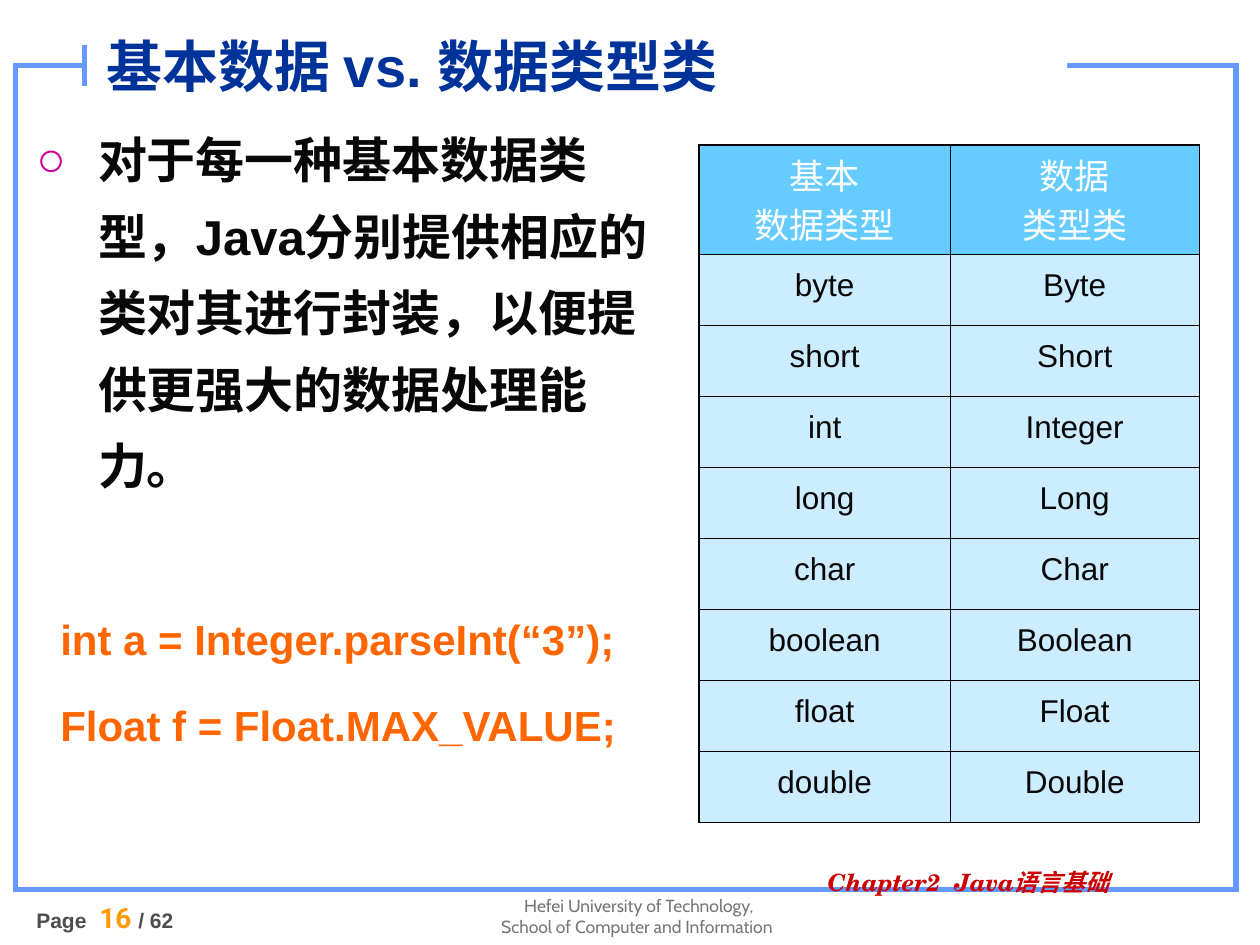
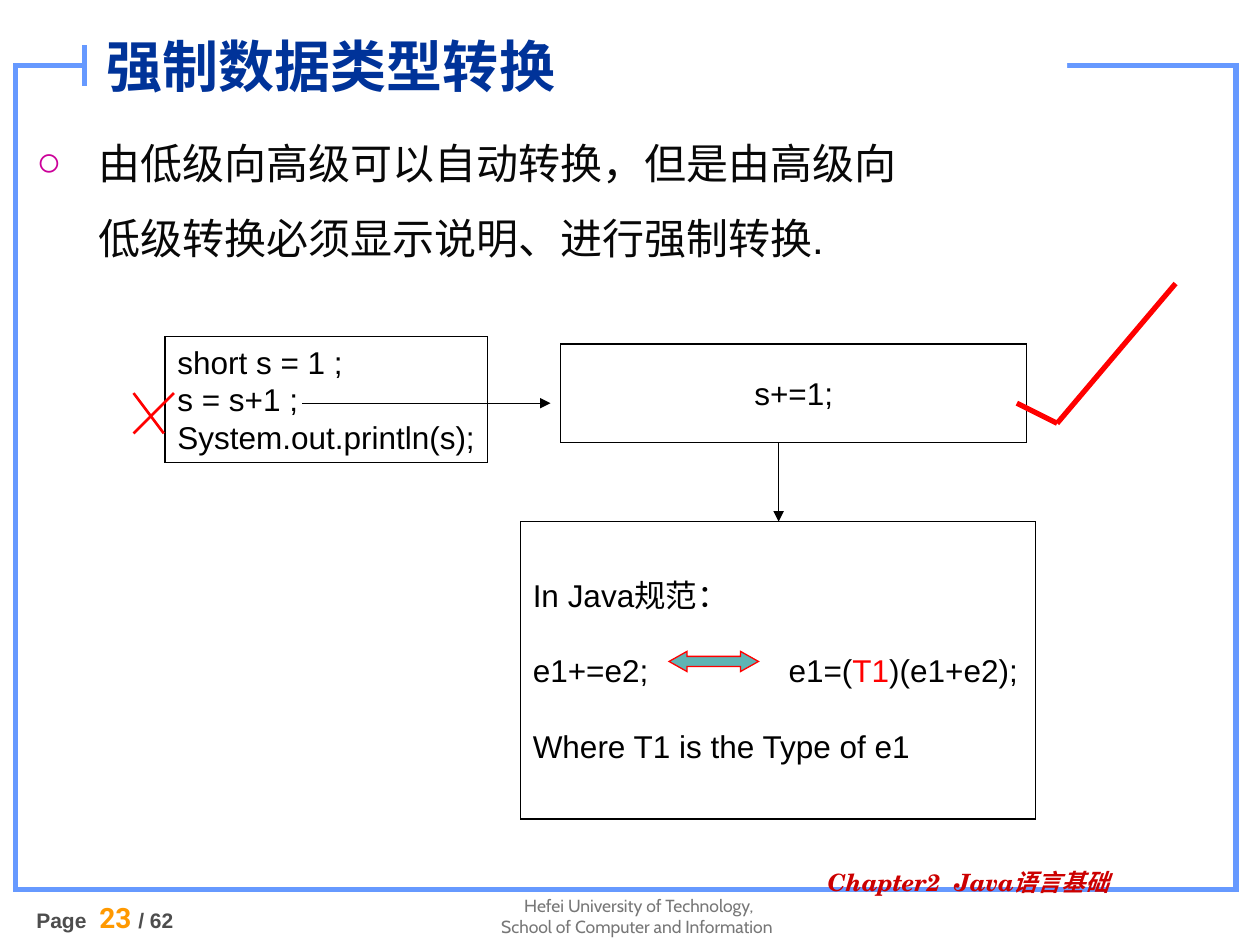
from dataclasses import dataclass

from lxml import etree
from pptx import Presentation
from pptx.dml.color import RGBColor
from pptx.enum.shapes import MSO_CONNECTOR as Connector, MSO_SHAPE as Shape
from pptx.enum.text import MSO_ANCHOR as Anchor, PP_ALIGN as Align
from pptx.oxml.ns import qn
from pptx.util import Inches, Pt


@dataclass(frozen=True)
class Theme:
    # Colours
    frame: str = "6699FF"
    white: str = "FFFFFF"
    black: str = "000000"
    ink: str = "080808"
    title: str = "003399"
    bullet: str = "CC0099"
    code: str = "FF6600"
    mark: str = "FF0000"
    arrow: str = "5EB4B4"
    chapter: str = "CC0000"
    school: str = "777777"
    page: str = "4D4D4D"
    page_number: str = "FF9900"
    header_fill: str = "66CCFF"
    cell_fill: str = "CCECFF"
    # Fonts
    font: str = "Arial"
    school_font: str = "Cabin"
    number_font: str = "Roboto"
    chapter_font: str = "TeX Gyre Schola"
    # Type sizes
    title_size: float = 32
    lead_size: float = 28
    text_size: float = 24
    header_size: float = 20
    box_size: float = 18
    number_size: float = 16
    chapter_size: float = 13.6
    page_size: float = 12
    school_size: float = 10


THEME = Theme()
PAGE_COUNT = 62
TYPE_PAIRS = [
    ("byte", "Byte"), ("short", "Short"), ("int", "Integer"), ("long", "Long"),
    ("char", "Char"), ("boolean", "Boolean"), ("float", "Float"), ("double", "Double"),
]


def color(value):
    return RGBColor.from_string(value)


# Text

def add_run(paragraph, text, size, ink=THEME.ink, font=THEME.font, bold=False, italic=False):
    run = paragraph.add_run()
    run.text = text
    run.font.size = Pt(size)
    run.font.name = font
    run.font.bold = bold
    run.font.italic = italic
    run.font.color.rgb = color(ink)


def next_paragraph(frame, align=Align.LEFT, spacing=1.0, before=0):
    first = frame.paragraphs[0]
    paragraph = frame.add_paragraph() if first.runs else first
    paragraph.alignment = align
    paragraph.line_spacing = spacing
    if before:
        paragraph.space_before = Pt(before)
    return paragraph


def set_indent(paragraph, left, hanging=0):
    properties = paragraph._p.get_or_add_pPr()
    properties.set("marL", str(Inches(left)))
    properties.set("indent", str(-Inches(hanging)))
    return properties


def set_bullet(paragraph):
    properties = set_indent(paragraph, 0.49, 0.49)
    properties.set("hangingPunct", "0")
    bullet_color = etree.SubElement(properties, qn("a:buClr"))
    etree.SubElement(bullet_color, qn("a:srgbClr"), val=THEME.bullet)
    etree.SubElement(properties, qn("a:buFont"), typeface=THEME.font)
    etree.SubElement(properties, qn("a:buChar"), char="○")


def set_tab(paragraph, position):
    tabs = etree.SubElement(paragraph._p.get_or_add_pPr(), qn("a:tabLst"))
    etree.SubElement(tabs, qn("a:tab"), pos=str(Inches(position)), algn="l")


def add_text_box(slide, left, top, width, height, anchor=Anchor.TOP):
    box = slide.shapes.add_textbox(Inches(left), Inches(top), Inches(width), Inches(height))
    frame = box.text_frame
    frame.word_wrap = True
    frame.vertical_anchor = anchor
    return frame


# Shapes and lines

def add_shape(slide, kind, left, top, width, height, fill=None, line=None, weight=0.75):
    shape = slide.shapes.add_shape(
        kind, Inches(left), Inches(top), Inches(width), Inches(height))
    shape.shadow.inherit = False
    if fill:
        shape.fill.solid()
        shape.fill.fore_color.rgb = color(fill)
    else:
        shape.fill.background()
    if line:
        shape.line.color.rgb = color(line)
        shape.line.width = Pt(weight)
        etree.SubElement(shape.line._get_or_add_ln(), qn("a:miter"), lim="800000")
    else:
        shape.line.fill.background()
    return shape


def add_box(slide, left, top, width, height, wrap=False):
    frame = add_shape(
        slide, Shape.RECTANGLE, left, top, width, height, line=THEME.black).text_frame
    frame.word_wrap = wrap
    frame.vertical_anchor = Anchor.MIDDLE
    return frame


def add_line(slide, start, end, ink=THEME.black, weight=0.75, arrow=False):
    line = slide.shapes.add_connector(
        Connector.STRAIGHT, *(Inches(value) for value in (*start, *end)))
    line.line.color.rgb = color(ink)
    line.line.width = Pt(weight)
    if arrow:
        etree.SubElement(line.line._get_or_add_ln(), qn("a:tailEnd"), type="triangle")
    etree.SubElement(line._element.spPr, qn("a:effectLst"))


# Table

def set_borders(cell, **weights):
    properties = cell._tc.get_or_add_tcPr()
    for side in "LRTB":
        border = etree.SubElement(
            properties, qn(f"a:ln{side}"), w=str(Pt(weights.get(side, 0.45))))
        fill = etree.SubElement(border, qn("a:solidFill"))
        etree.SubElement(fill, qn("a:srgbClr"), val=THEME.black)


def add_type_table(slide):
    left, top, bottom, header_height = 5.55, 1.15, 6.53, 0.87
    rows = [("基本\n数据类型", "数据\n类型类"), *TYPE_PAIRS]
    table = slide.shapes.add_table(
        len(rows), 2, Inches(left), Inches(top), Inches(3.97), Inches(bottom - top)).table
    table.first_row = table.horz_banding = False
    for column, width in zip(table.columns, (1.99, 1.98)):
        column.width = Inches(width)
    body_height = (bottom - top - header_height) / len(TYPE_PAIRS)
    for row_index, texts in enumerate(rows):
        header = row_index == 0
        table.rows[row_index].height = Inches(header_height if header else body_height)
        for column_index, text in enumerate(texts):
            cell = table.cell(row_index, column_index)
            outer = {"R" if column_index else "L": 1.08}
            if header:
                outer["T"] = 1.08
            set_borders(cell, **outer)
            cell.fill.solid()
            cell.fill.fore_color.rgb = color(THEME.header_fill if header else THEME.cell_fill)
            for line in text.split("\n"):
                paragraph = next_paragraph(
                    cell.text_frame, Align.CENTER, 0.95 if header else 1.2)
                if header:
                    add_run(paragraph, line, THEME.header_size, THEME.white)
                else:
                    add_run(paragraph, line, THEME.box_size)


# Shared slide parts

def add_frame(slide):
    add_shape(slide, Shape.RECTANGLE, 0.12, 0.52, 9.69, 6.54, line=THEME.frame, weight=3)
    add_shape(slide, Shape.RECTANGLE, 0.67, 0.28, 7.8, 0.35, fill=THEME.white)
    add_line(slide, (0.67, 0.36), (0.67, 0.68), THEME.frame, 3)


def add_footer(slide, number):
    school = add_text_box(slide, 3.8, 7.05, 2.54, 0.45)
    for line in ("Hefei University of Technology,", "School of Computer and Information "):
        add_run(next_paragraph(school, Align.CENTER), line,
                THEME.school_size, THEME.school, THEME.school_font)

    page = next_paragraph(add_text_box(slide, 0.19, 7.1, 1.81, 0.4))
    add_run(page, "Page ", THEME.page_size, THEME.page, bold=True)
    add_run(page, " ", THEME.number_size, THEME.page_number, THEME.number_font)
    add_run(page, f"{number} ", THEME.number_size, THEME.page_number,
            THEME.number_font, bold=True)
    add_run(page, f"/ {PAGE_COUNT}", THEME.page_size, THEME.page, bold=True)

    chapter = next_paragraph(add_text_box(slide, 6.47, 6.86, 3.07, 0.35), spacing=0.9)
    add_run(chapter, "Chapter2  Java语言基础", THEME.chapter_size, THEME.chapter,
            THEME.chapter_font, bold=True, italic=True)


def add_base_slide(presentation, title, number):
    slide = presentation.slides.add_slide(presentation.slide_layouts[6])
    add_frame(slide)
    add_footer(slide, number)
    heading = next_paragraph(add_text_box(slide, 0.75, 0.12, 6.77, 0.8, Anchor.MIDDLE))
    add_run(heading, title, THEME.title_size, THEME.title, bold=True)
    return slide


# Slides

def build_wrapper_classes(presentation):
    slide = add_base_slide(presentation, "基本数据 vs. 数据类型类", 16)
    body = add_text_box(slide, 0.19, 0.84, 5.2, 6.22)
    lead = next_paragraph(body, spacing=1.3)
    set_bullet(lead)
    add_run(lead, "对于每一种基本数据类型，Java分别提供相应的类对其进行封装，"
                  "以便提供更强大的数据处理能力。", THEME.lead_size, bold=True)
    for code, before in (("int a = Integer.parseInt(“3”);", 53.5),
                         ("Float f = Float.MAX_VALUE;", 6)):
        paragraph = next_paragraph(body, spacing=1.5, before=before)
        set_indent(paragraph, 0.19)
        add_run(paragraph, code, THEME.text_size, THEME.code, bold=True)
    add_type_table(slide)


def build_type_cast(presentation):
    slide = add_base_slide(presentation, "强制数据类型转换", 23)
    lead = next_paragraph(add_text_box(slide, 0.19, 0.84, 9.53, 1.5), spacing=1.5)
    set_bullet(lead)
    add_run(lead, "由低级向高级可以自动转换，但是由高级向", THEME.text_size)
    lead.add_line_break()
    add_run(lead, "低级转换必须显示说明、进行强制转换.", THEME.text_size)

    # Code boxes
    wrong = add_box(slide, 1.31, 2.67, 2.56, 1)
    for code in ("short s = 1 ;", "s = s+1 ;", "System.out.println(s);"):
        add_run(next_paragraph(wrong), code, THEME.box_size, THEME.black)
    right = add_box(slide, 4.45, 2.73, 3.7, 0.78)
    add_run(next_paragraph(right, Align.CENTER), "s+=1;", THEME.box_size, THEME.black)

    # Language rule
    rule = add_box(slide, 4.13, 4.14, 4.09, 2.36, wrap=True)
    add_run(next_paragraph(rule), "In Java规范：", THEME.box_size, THEME.black)
    equivalence = next_paragraph(rule, before=21.6)
    set_tab(equivalence, 2.03)
    for text, ink in (("e1+=e2;\te1=(", THEME.black), ("T1", THEME.mark),
                      (")(e1+e2);", THEME.black)):
        add_run(equivalence, text, THEME.box_size, ink)
    add_run(next_paragraph(rule, before=21.6), "Where T1 is the Type of e1",
            THEME.box_size, THEME.black)
    arrow = add_shape(slide, Shape.LEFT_RIGHT_ARROW, 5.31, 5.17, 0.71, 0.16,
                      THEME.arrow, THEME.mark)
    arrow.adjustments[0] = 0.5
    arrow.adjustments[1] = 0.89

    # Cross, tick and arrows
    for start, end, weight in (((1.38, 3.12), (1.06, 3.44), 1.5),
                               ((1.06, 3.12), (1.3, 3.44), 1.5),
                               ((8.07, 3.2), (8.39, 3.36), 3),
                               ((8.39, 3.36), (9.33, 2.25), 3)):
        add_line(slide, start, end, THEME.mark, weight)
    add_line(slide, (2.4, 3.2), (4.37, 3.2), arrow=True)
    add_line(slide, (6.18, 3.51), (6.18, 4.14), arrow=True)


def main():
    presentation = Presentation()
    presentation.slide_width = Inches(10)
    presentation.slide_height = Inches(7.5)
    build_wrapper_classes(presentation)
    build_type_cast(presentation)
    presentation.save("out.pptx")


if __name__ == "__main__":
    main()
